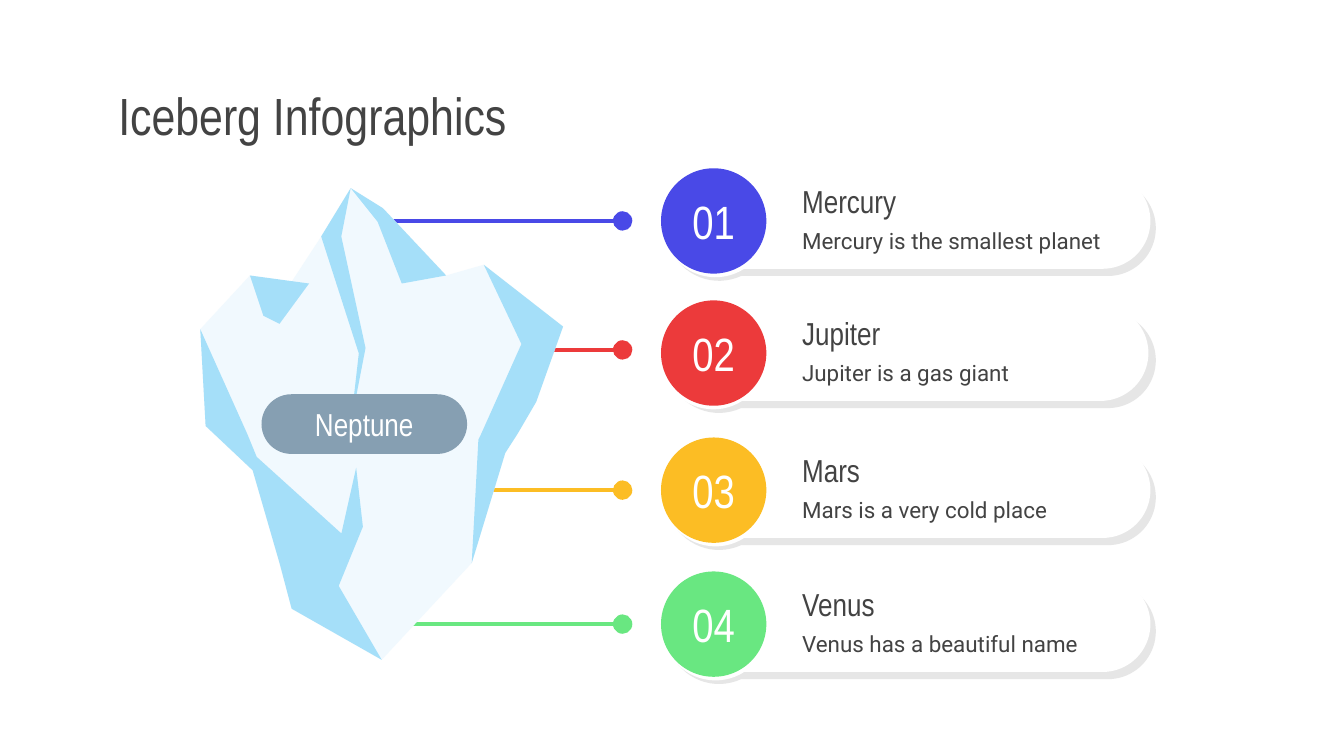
from math import acos, asin, cos, degrees, radians, sin
from typing import NamedTuple

from lxml.etree import SubElement
from pptx import Presentation
from pptx.dml.color import RGBColor
from pptx.enum.shapes import MSO_CONNECTOR as Connector, MSO_SHAPE as Preset
from pptx.enum.text import MSO_ANCHOR as Anchor, MSO_AUTO_SIZE as AutoSize, PP_ALIGN as Align
from pptx.oxml.ns import qn
from pptx.util import Emu, Inches, Pt

# The slide is 16:9, on a grid of 1000 columns with square cells.
COLUMNS = 1000
ROWS = COLUMNS * 9 / 16
CELL = Inches(10) / COLUMNS

COLORS = {
    "text": "434343", "white": "FFFFFF", "shadow": "E6E6E6",
    "ice": "F1F9FE", "facet": "A5DFF9", "label": "869FB2",
    "blue": "4949E7", "red": "EC3A3B", "yellow": "FCBD24", "green": "69E781",
}
HEADING_FONT, BODY_FONT = "Arial Narrow", "Roboto"

LEADER_START, DOT_X, DOT_SIZE = 274, 463.3, 14.4
BADGE_X, BADGE_SIZE = 531, 78.4
BAR_HEIGHT = 71.2
CAPTION_LEFT, CAPTION_WIDTH, CAPTION_HEIGHT = 587, 256, 40

Point = tuple[float, float]


class Box(NamedTuple):
    left: float
    top: float
    width: float
    height: float


class Planet(NamedTuple):
    name: str
    fact: str
    color: str
    row: float
    leader_row: float
    face_shift: float = 0


PLANETS = [
    Planet("Mercury", "Mercury is the smallest planet", "blue", 164.4, 164.4),
    Planet("Jupiter", "Jupiter is a gas giant", "red", 262.7, 260.4, -1.5),
    Planet("Mars", "Mars is a very cold place", "yellow", 364.7, 364.7),
    Planet("Venus", "Venus has a beautiful name", "green", 464.4, 464.4),
]

PEAK, FOOT = (261, 140), (284, 491)
WEST, EAST = (149, 245), (419, 243)
WEST_SHORE = [WEST, (153, 317), (188, 350)]
EAST_SHORE = [EAST, (399, 299), (385, 323), (376, 337), (351, 419)]
KEEL = [(208, 419), (217, 453), FOOT]
CLEFT = [(252, 436), (270, 392), (265, 348), (254, 397)]

ICEBERG = [*WEST_SHORE, *KEEL, *reversed(EAST_SHORE), (360, 197), (332, 205),
           (285, 155), PEAK, (239, 176), (207, 225), (186, 205)]
FACETS = [
    [*WEST_SHORE, *KEEL, *CLEFT, (191, 340), (184, 323)],
    [(360, 197), (388, 256), (358, 323), (356, 327), *reversed(EAST_SHORE)],
    [PEAK, (239, 176), (267, 263), (261, 316), (272, 259), (254, 176)],
    [(186, 205), (196, 235), (208, 241), (230, 211)],
    [PEAK, (281, 165), (299, 211), (332, 205), (285, 155)],
]


def grid(*cells: float) -> list[Emu]:
    return [Emu(round(cell * CELL)) for cell in cells]


def rgb(color: str) -> RGBColor:
    return RGBColor.from_string(COLORS[color])


def paint(shape, color: str) -> None:
    shape.shadow.inherit = False
    shape.fill.solid()
    shape.fill.fore_color.rgb = rgb(color)
    shape.line.fill.background()


def write(shape, text: str, size: float, color: str = "text",
          font: str = HEADING_FONT, align=Align.LEFT, wrap: bool = True) -> None:
    frame = shape.text_frame
    frame.text = text
    frame.auto_size = AutoSize.NONE
    frame.word_wrap = wrap
    frame.vertical_anchor = Anchor.MIDDLE
    frame.margin_left = frame.margin_right = Inches(0.1)
    frame.margin_top = frame.margin_bottom = Inches(0.1)
    paragraph = frame.paragraphs[0]
    paragraph.alignment = align
    paragraph.font.name = font
    paragraph.font.size = Pt(size)
    paragraph.font.color.rgb = rgb(color)


def add_preset(slide, preset, box: Box, color: str):
    shape = slide.shapes.add_shape(preset, *grid(*box))
    paint(shape, color)
    return shape


def add_disc(slide, x: float, y: float, size: float, color: str):
    return add_preset(slide, Preset.OVAL, Box(x - size / 2, y - size / 2, size, size), color)


def add_polygon(slide, points: list[Point], color: str) -> None:
    start, *rest = [tuple(grid(*point)) for point in points]
    builder = slide.shapes.build_freeform(*start)
    builder.add_line_segments(rest, close=True)
    paint(builder.convert_to_shape(), color)


def arc(x: float, y: float, radius: float, start: float, end: float) -> list[Point]:
    """Points along a circle, with angles in degrees growing clockwise."""
    steps = 40
    angles = [radians(start + (end - start) * i / steps) for i in range(steps + 1)]
    return [(x + radius * cos(a), y + radius * sin(a)) for a in angles]


def add_card(slide, disc_x: float, disc_y: float, bar_y: float, right: float,
             color: str) -> None:
    """Draw a disc merged with a bar whose right end is round."""
    disc_radius, bar_radius = BADGE_SIZE / 2, BAR_HEIGHT / 2
    bottom = degrees(asin((bar_y + bar_radius - disc_y) / disc_radius))
    top = 270 + degrees(acos((disc_y - bar_y + bar_radius) / disc_radius))
    outline = arc(disc_x, disc_y, disc_radius, bottom, top)
    outline += arc(right - bar_radius, bar_y, bar_radius, -90, 90)
    add_polygon(slide, outline, color)


def add_leader(slide, y: float, color: str) -> None:
    line = slide.shapes.add_connector(
        Connector.STRAIGHT, *grid(LEADER_START, y, DOT_X, y))
    line.line.color.rgb = rgb(color)
    line.line.width = Pt(2.2)
    SubElement(line._element.spPr, qn("a:effectLst"))
    add_disc(slide, DOT_X, y, DOT_SIZE, color)


def add_caption(slide, text: str, top: float, size: float, font: str) -> None:
    box = Box(CAPTION_LEFT, top, CAPTION_WIDTH, CAPTION_HEIGHT)
    write(slide.shapes.add_textbox(*grid(*box)), text, size, font=font)


def add_planet(slide, number: int, planet: Planet) -> None:
    y = planet.row
    add_leader(slide, planet.leader_row, planet.color)
    add_card(slide, 535, y + 5.4, y + 5.4, 860, "shadow")
    add_card(slide, 532.4 + planet.face_shift, y + 2.7, y, 856 + planet.face_shift, "white")
    badge = add_disc(slide, BADGE_X, y, BADGE_SIZE, planet.color)
    write(badge, f"{number:02}", 25, "white", align=Align.CENTER, wrap=False)
    add_caption(slide, planet.fact, y - 5.4, 12, BODY_FONT)
    add_caption(slide, planet.name, y - 34.9, 17, HEADING_FONT)


def add_title(slide, text: str) -> None:
    title = slide.shapes.title
    title.left, title.top, title.width, title.height = grid(78, 59, 845, 53)
    write(title, text, 28)


def main() -> None:
    deck = Presentation()
    deck.slide_width, deck.slide_height = grid(COLUMNS, ROWS)
    slide = deck.slides.add_slide(deck.slide_layouts[5])

    add_title(slide, "Iceberg Infographics")
    for number, planet in enumerate(PLANETS, start=1):
        add_planet(slide, number, planet)

    add_polygon(slide, ICEBERG, "ice")
    for facet in FACETS:
        add_polygon(slide, facet, "facet")

    label = add_preset(slide, Preset.ROUNDED_RECTANGLE, Box(194.6, 293.4, 153, 44.4), "label")
    label.adjustments[0] = 0.5
    write(label, "Neptune", 17, "white", align=Align.CENTER)

    deck.save("out.pptx")


if __name__ == "__main__":
    main()
